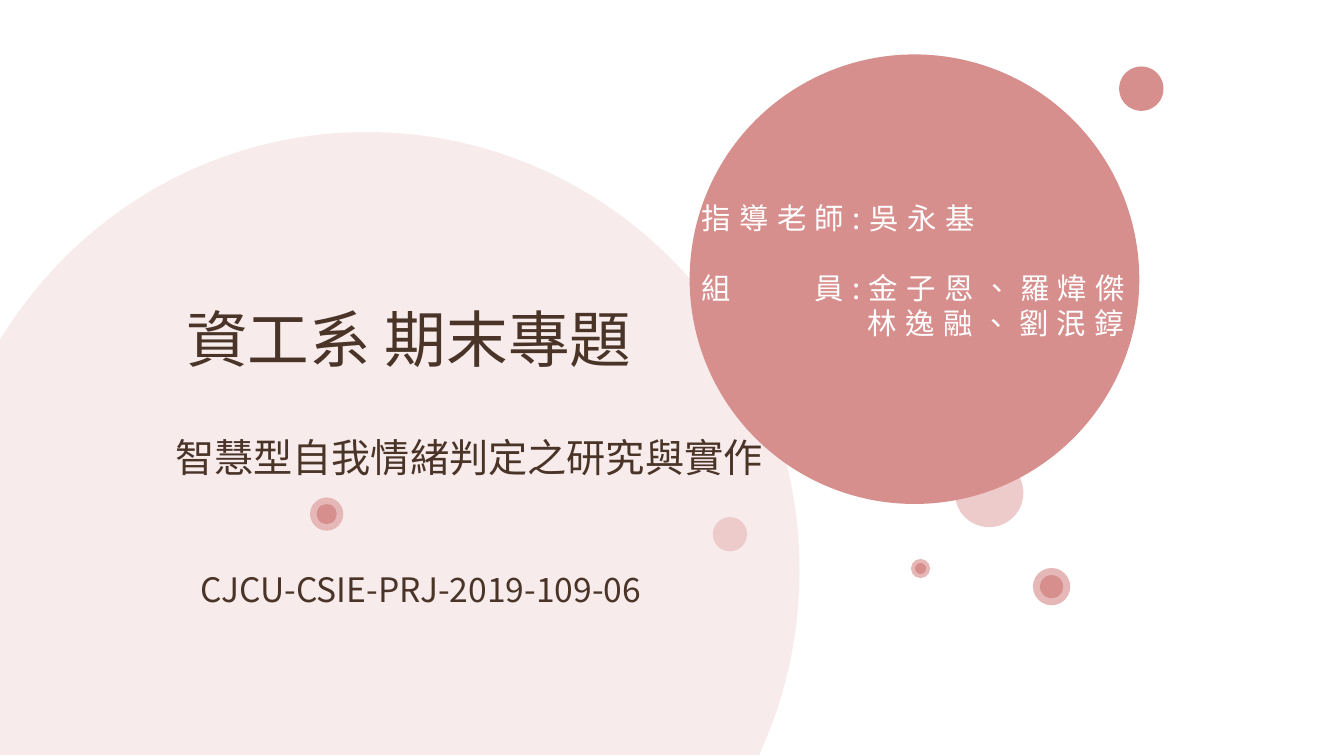
"""Build the title slide of a student project with overlapping pink circles."""
import pptx
import pptx.dml.color
import pptx.enum.shapes
import pptx.enum.text
import pptx.oxml
import pptx.oxml.ns
import pptx.util
from pptx.util import Inches, Pt

RGBColor = pptx.dml.color.RGBColor
ROSE = RGBColor(0xD7, 0x8F, 0x8E)
MEDIUM_PINK = RGBColor(0xE5, 0xB8, 0xB7)
LIGHT_PINK = RGBColor(0xEC, 0xCB, 0xCA)
PALE_PINK = RGBColor(0xF6, 0xE8, 0xE7)
BROWN = RGBColor(0x4A, 0x34, 0x28)
WHITE = RGBColor(0xFF, 0xFF, 0xFF)
FONT, LANGUAGE = "Noto Sans CJK SC", "zh-TW"
SLIDE_SIZE = (13.33, 7.5)
NAMESPACE = pptx.oxml.ns.nsdecls("a")

PALE_OPACITY = 80
PALE_LEFT, PALE_TOP = 0, 1.31
PALE_START = (3.64, 1.31)
PALE_SEGMENTS = [
    [(2.16, 1.31), (0.86, 2.07), (0.09, 3.23)],
    [(0, 3.37)],
    [(0, 7.49)],
    [(7.53, 7.49)],
    [(7.59, 7.35)],
    [(7.81, 6.83), (7.93, 6.26), (7.93, 5.66)],
    [(7.93, 3.26), (6.01, 1.31), PALE_START],
]
CIRCLES = [
    (11.32, 0.88, 0.44, ROSE),
    (9.81, 4.89, 0.68, LIGHT_PINK),
    (9.07, 2.77, 4.46, ROSE),
    (7.24, 5.3, 0.34, LIGHT_PINK),
]
RINGED_DOTS = [
    (10.43, 5.82, 0.37, 0.23),
    (9.13, 5.64, 0.19, 0.11),
    (3.24, 5.1, 0.33, 0.2),
]
HEADINGS = [
    ("資工系 期末專題", 44, (1.75, 2.93, 5.1, 0.84)),
    ("智慧型自我情緒判定之研究與實作", 28, (1.64, 4.25, 7.17, 0.57)),
    ("CJCU-CSIE-PRJ-2019-109-06", 24, (1.89, 5.59, 7.17, 0.5)),
]
PEOPLE_BOX = (6.86, 1.94, 5.29, 1.51)
PEOPLE_SIZE, PEOPLE_TRACKING, PEOPLE_TAB = 21, 6, 1.12
PEOPLE = [
    ("指導老師:吳永基", 0, 0),
    ("組\t員:金子恩、羅煒傑", 25, 0),
    ("林逸融、劉泯錞", 0, 1.65),
]


def paint(shape, color):
    shape.shadow.inherit = False
    shape.fill.solid()
    shape.fill.fore_color.rgb = color
    shape.line.fill.background()


def add_circle(slide, center_x, center_y, diameter, color):
    left, top = center_x - diameter / 2, center_y - diameter / 2
    shape = slide.shapes.add_shape(
        pptx.enum.shapes.MSO_SHAPE.OVAL,
        Inches(left), Inches(top), Inches(diameter), Inches(diameter))
    paint(shape, color)


def add_pale_circle(slide):
    builder = slide.shapes.build_freeform(*map(Inches, PALE_START))
    corners = [tuple(map(Inches, segment[-1])) for segment in PALE_SEGMENTS]
    builder.add_line_segments(corners, close=True)
    shape = builder.convert_to_shape()
    paint(shape, PALE_PINK)
    lines = shape._element.findall(".//" + pptx.oxml.ns.qn("a:lnTo"))
    for line, segment in zip(lines, PALE_SEGMENTS):
        if len(segment) == 3:
            points = "".join(
                f'<a:pt x="{Inches(x - PALE_LEFT)}" y="{Inches(y - PALE_TOP)}"/>'
                for x, y in segment)
            curve = pptx.oxml.parse_xml(
                f"<a:cubicBezTo {NAMESPACE}>{points}</a:cubicBezTo>")
            line.getparent().replace(line, curve)
    color = shape._element.spPr.find(".//" + pptx.oxml.ns.qn("a:srgbClr"))
    color.append(pptx.oxml.parse_xml(
        f'<a:alpha {NAMESPACE} val="{PALE_OPACITY * 1000}"/>'))


def add_text_frame(slide, box, anchor):
    frame = slide.shapes.add_textbox(*map(Inches, box)).text_frame
    frame.word_wrap = True
    frame.vertical_anchor = anchor
    return frame


def write(paragraph, text, size, color, tracking=0):
    run = paragraph.add_run()
    run.text = text
    for name, value in {"size": Pt(size), "name": FONT}.items():
        setattr(run.font, name, value)
    run.font.color.rgb = color
    properties = run._r.get_or_add_rPr()
    properties.set("lang", LANGUAGE)
    properties.append(pptx.oxml.parse_xml(f'<a:ea {NAMESPACE} typeface="{FONT}"/>'))
    if tracking:
        properties.set("spc", str(tracking * 100))


def add_people(slide):
    frame = add_text_frame(slide, PEOPLE_BOX, pptx.enum.text.MSO_ANCHOR.TOP)
    for index, (text, space_before, indent) in enumerate(PEOPLE):
        paragraph = frame.add_paragraph() if index else frame.paragraphs[0]
        paragraph.line_spacing = Pt(25)
        if space_before:
            paragraph.space_before = Pt(space_before)
        properties = paragraph._p.get_or_add_pPr()
        if indent:
            properties.set("marL", str(Inches(indent)))
            properties.set("indent", "0")
        if "\t" in text:
            properties.append(pptx.oxml.parse_xml(
                f'<a:tabLst {NAMESPACE}>'
                f'<a:tab pos="{Inches(PEOPLE_TAB)}" algn="l"/></a:tabLst>'))
        write(paragraph, text, PEOPLE_SIZE, WHITE, PEOPLE_TRACKING)


def main():
    presentation = pptx.Presentation()
    presentation.slide_width, presentation.slide_height = map(Inches, SLIDE_SIZE)
    slide = presentation.slides.add_slide(presentation.slide_layouts[6])
    add_pale_circle(slide)
    for circle in CIRCLES:
        add_circle(slide, *circle)
    for center_x, center_y, outer, inner in RINGED_DOTS:
        add_circle(slide, center_x, center_y, outer, MEDIUM_PINK)
        add_circle(slide, center_x, center_y, inner, ROSE)
    add_people(slide)
    for text, size, box in HEADINGS:
        frame = add_text_frame(slide, box, pptx.enum.text.MSO_ANCHOR.MIDDLE)
        write(frame.paragraphs[0], text, size, BROWN)
    presentation.save("out.pptx")


if __name__ == "__main__":
    main()
